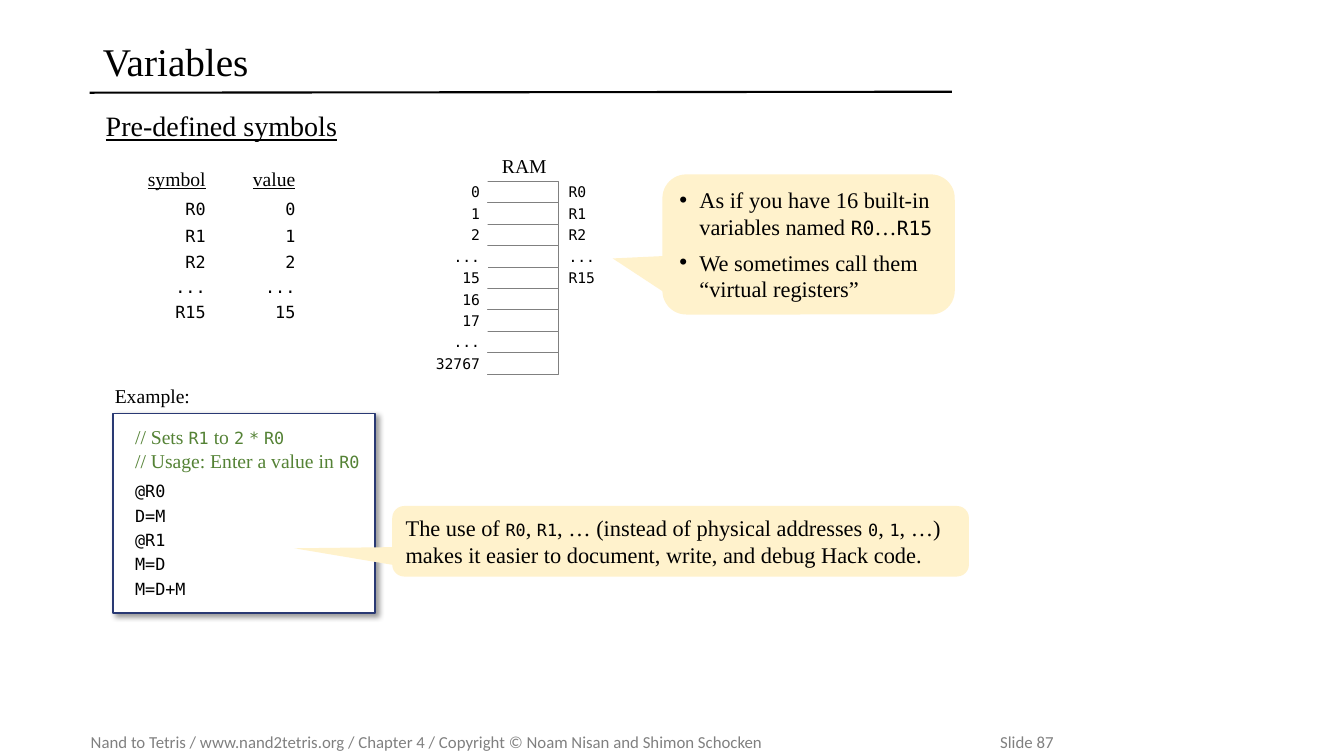
import pptx
import pptx.util
import pptx.dml.color
import pptx.enum.shapes
import pptx.enum.text
import pptx.oxml
import pptx.oxml.ns
from pptx.util import Inches

SERIF, MONO, SANS = "Times New Roman", "DejaVu Sans Mono", "Calibri"
COLORS = {"black": "000000", "white": "FFFFFF", "grey": "808080",
          "navy": "293973", "green": "548235", "cream": "FFF2CC"}
SHAPE = pptx.enum.shapes.MSO_SHAPE
ALIGN = pptx.enum.text.PP_ALIGN
ANCHOR = pptx.enum.text.MSO_ANCHOR
INSET = (0.1, 0.05, 0.1, 0.05)


def rgb(name):
    return pptx.dml.color.RGBColor.from_string(COLORS[name])


def make(tag, **attrs):
    """Return a new DrawingML element."""
    node = pptx.oxml.parse_xml(f"<a:{tag} {pptx.oxml.ns.nsdecls('a')}/>")
    for key, value in attrs.items():
        node.set(key, str(value))
    return node


def add_run(para, text, font, size, color="black", under=False):
    run = para.add_run()
    run.text = text
    run.font.name = font
    run.font.size = pptx.util.Pt(size)
    run.font.color.rgb = rgb(color)
    run.font.underline = under


def add_mix(para, parts, big, small, color="black"):
    """Add parts that take turns between serif and mono, serif first."""
    for i, text in enumerate(parts):
        if text:
            font, size = ((SERIF, big), (MONO, small))[i % 2]
            add_run(para, text, font, size, color)


def set_frame(frame, inset=INSET, anchor=ANCHOR.TOP, align=ALIGN.LEFT):
    """Lay out a text frame and return its first paragraph."""
    frame.word_wrap = True
    frame.vertical_anchor = anchor
    frame.margin_left, frame.margin_top, frame.margin_right, frame.margin_bottom = map(Inches, inset)
    para = frame.paragraphs[0]
    para.alignment = align
    return para


def next_para(frame, gap):
    para = frame.add_paragraph()
    para.alignment = ALIGN.LEFT
    para.space_before = pptx.util.Pt(gap)
    return para


def add_label(slide, box, text, size, font=SERIF, color="black", under=False):
    frame = slide.shapes.add_textbox(*map(Inches, box)).text_frame
    add_run(set_frame(frame), text, font, size, color, under)


def add_shape(slide, kind, box, fill, line=None, width=1):
    shape = slide.shapes.add_shape(kind, *map(Inches, box))
    shape.shadow.inherit = False
    shape.fill.solid()
    shape.fill.fore_color.rgb = rgb(fill)
    if line:
        shape.line.color.rgb = rgb(line)
        shape.line.width = pptx.util.Pt(width)
    else:
        shape.line.fill.background()
    return shape


def add_callout(slide, box):
    shape = add_shape(slide, SHAPE.ROUNDED_RECTANGULAR_CALLOUT, box, "cream")
    for i, value in enumerate((-0.67, 0.1, 0.17)):
        shape.adjustments[i] = value
    set_frame(shape.text_frame, (0.1, 0.05, 0.08, 0.05), ANCHOR.MIDDLE)
    return shape.text_frame


def add_bullet(para):
    props = para._p.get_or_add_pPr()
    props.set("marL", str(Inches(0.2)))
    props.set("indent", str(-Inches(0.2)))
    props.append(make("buFont", typeface="Arial"))
    props.append(make("buChar", char="•"))


def add_shadow(shape):
    shade = make("outerShdw", blurRad=pptx.util.Pt(4), dist=pptx.util.Pt(3),
                 dir=45 * 60000, algn="tl", rotWithShape=0)
    tint = make("srgbClr", val=COLORS["black"])
    tint.append(make("alpha", val=40000))
    shade.append(tint)
    shape._element.spPr.find(pptx.oxml.ns.qn("a:effectLst")).append(shade)


def add_title(slide):
    title = slide.shapes.title
    title.left, title.top, title.width, title.height = map(Inches, (0.92, 0.32, 8.53, 0.63))
    para = set_frame(title.text_frame, INSET, ANCHOR.MIDDLE)
    para.line_spacing = 0.9
    add_run(para, "Variables", SERIF, 28)
    rule = slide.shapes.add_connector(pptx.enum.shapes.MSO_CONNECTOR.STRAIGHT,
                                      *map(Inches, (0.89, 0.92, 9.44, 0.91)))
    rule.line.color.rgb = rgb("black")
    rule.line.width = pptx.util.Pt(1.5)
    rule._element.spPr.append(make("effectLst"))


def add_footer(slide):
    frame = slide.shapes.add_textbox(*map(Inches, (0.9, 7.21, 12.25, 0.3))).text_frame
    para = set_frame(frame, (0, 0.05, 0, 0.05), ANCHOR.MIDDLE)
    tabs = make("tabLst")
    tabs.append(make("tab", pos=Inches(9.02), algn="l"))
    para._p.get_or_add_pPr().append(tabs)
    add_run(para, "Nand to Tetris / www.nand2tetris.org / Chapter 4 / "
            "Copyright © Noam Nisan and Shimon Schocken\tSlide 87", SANS, 12, "grey")


def add_symbols(slide):
    rows = [("symbol", "value"), ("R0", "0"), ("R1", "1"), ("R2", "2"),
            ("...", "..."), ("R15", "15")]
    table = slide.shapes.add_table(len(rows), 2, *map(Inches, (0.8, 1.65, 2.29, 1.58))).table
    table.first_row = table.horz_banding = False
    for col, width in zip(table.columns, (1.36, 0.93)):
        col.width = Inches(width)
    for r, row in enumerate(rows):
        table.rows[r].height = Inches(0.29 if r < 2 else 0.25)
        for c, text in enumerate(row):
            cell = table.cell(r, c)
            cell.fill.background()
            cell.vertical_anchor = ANCHOR.MIDDLE
            cell.margin_left, cell.margin_right = Inches((0.16, 0)[c]), Inches((0.12, 0.16)[c])
            cell.margin_top = cell.margin_bottom = 0
            para = cell.text_frame.paragraphs[0]
            para.alignment = ALIGN.RIGHT
            para.line_spacing = pptx.util.Pt(13.8)
            if r == 0:
                add_run(para, text, SERIF, 14, under=True)
            else:
                add_run(para, text, MONO, 12)


def add_tag(slide, box, text, inset, align):
    """Add a small mono label beside a memory cell."""
    shape = add_shape(slide, SHAPE.RECTANGLE, box, "white")
    para = set_frame(shape.text_frame, inset, ANCHOR.MIDDLE, align)
    add_run(para, text, MONO, 10.5)


def add_ram(slide):
    cells = [("0", "R0"), ("1", "R1"), ("2", "R2"), ("...", "..."), ("15", "R15"),
             ("16", ""), ("17", ""), ("...", ""), ("32767", "")]
    step = (3.5 - 1.8) / (len(cells) - 1)
    for i, (place, name) in enumerate(cells):
        top = 1.8 + i * step
        add_shape(slide, SHAPE.RECTANGLE, (4.84, top, 0.7, step), "white", "grey", 0.75)
        wide = 0.75 if len(place) > 3 else 0.52
        add_tag(slide, (4.84 - wide, top, wide, 0.21), place, (0.12, 0, 0.08, 0), ALIGN.RIGHT)
        if name:
            add_tag(slide, (5.56, top, 0.52, 0.21), name, (0.08, 0, 0.12, 0), ALIGN.LEFT)
    add_label(slide, (4.88, 1.48, 0.72, 0.42), "RAM", 14)


def add_code(slide):
    box = add_shape(slide, SHAPE.RECTANGLE, (1.12, 4.1, 2.6, 1.98), "white", "navy")
    add_shadow(box)
    frame = box.text_frame
    para = set_frame(frame, (0.22, 0.12, 0, 0.05))
    add_mix(para, ["// Sets ", "R1", " to ", "2", " ", "*", " ", "R0"], 14, 12, "green")
    add_mix(next_para(frame, 0), ["// Usage: Enter a value in ", "R0"], 14, 12, "green")
    for i, line in enumerate(("@R0", "D=M", "@R1", "M=D", "M=D+M")):
        add_run(next_para(frame, 3 if i else 6), line, MONO, 12)


def add_notes(slide):
    """Add the two callouts."""
    frame = add_callout(slide, (6.57, 1.73, 2.9, 1.39))
    first, second = frame.paragraphs[0], next_para(frame, 6)
    add_bullet(first)
    add_mix(first, ["As if you have 16 built-in variables named ", "R0", "…", "R15"], 16, 14)
    add_bullet(second)
    add_run(second, "We sometimes call them “virtual registers”", SERIF, 16)
    frame = add_callout(slide, (3.89, 5.02, 5.72, 0.7))
    add_mix(frame.paragraphs[0],
            ["The use of ", "R0", ", ", "R1", ", … (instead of physical addresses ", "0", ", ",
             "1", ", …) makes it easier to document, write, and debug Hack code."], 16, 12)


def main():
    deck = pptx.Presentation()
    deck.slide_width, deck.slide_height = Inches(13.33), Inches(7.5)
    slide = deck.slides.add_slide(deck.slide_layouts[5])
    add_footer(slide)
    add_title(slide)
    add_label(slide, (0.95, 1.03, 3.93, 0.44), "Pre-defined symbols", 20, under=True)
    add_symbols(slide)
    add_ram(slide)
    add_label(slide, (1.04, 3.76, 2.3, 0.34), "Example:", 14)
    add_code(slide)
    add_notes(slide)
    deck.save("out.pptx")


if __name__ == "__main__":
    main()
